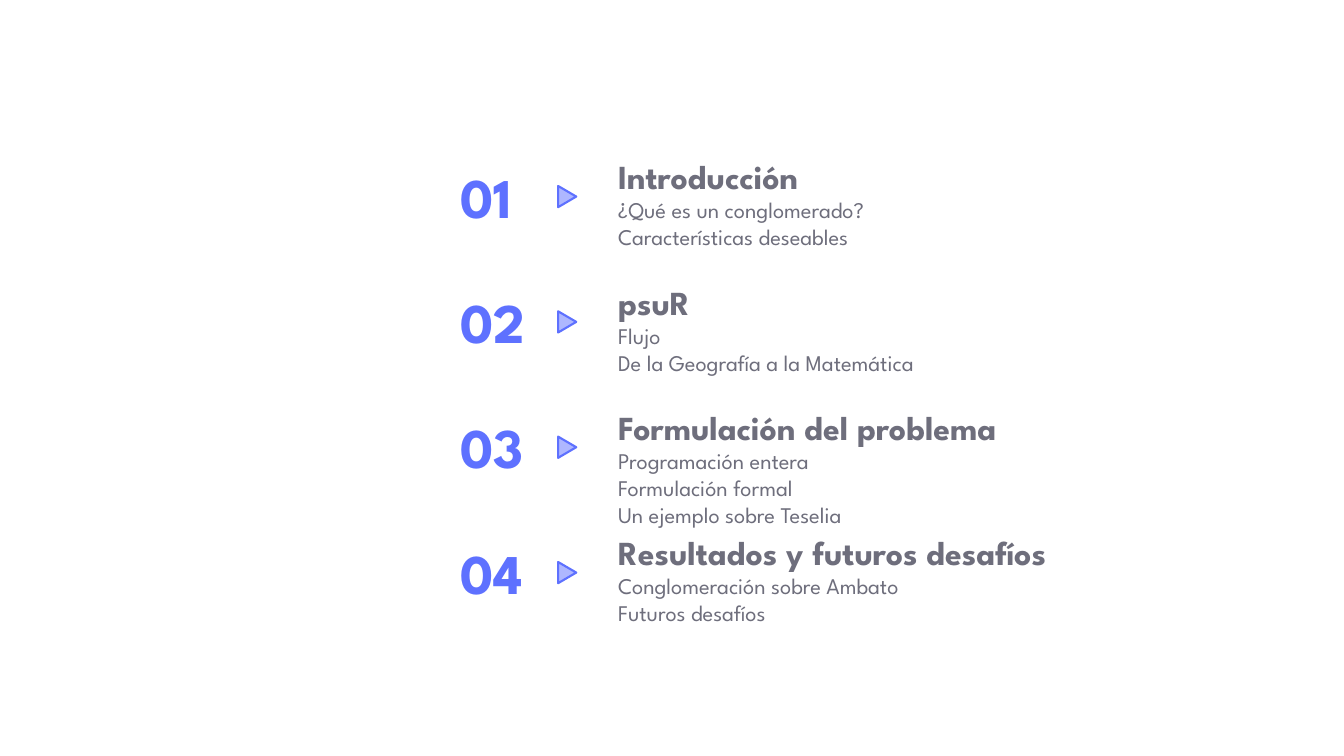
"""Build an agenda slide with four numbered sections."""
from lxml import etree
from pptx import Presentation
from pptx import util as u
from pptx.dml.color import RGBColor
from pptx.enum import shapes, text
from pptx.oxml.ns import qn

WIDTH, HEIGHT = 13.33, 7.5
FONT = "League Spartan"
COLORS = {"accent": "5E71FF", "body": "6E6E7C"}
FIRST_ROW, ROW_STEP = 20, 16.58
SECTIONS = [
    ("Introducción", ["¿Qué es un conglomerado?", "Características deseables"]),
    ("psuR", ["Flujo", "De la Geografía a la Matemática"]),
    ("Formulación del problema",
     ["Programación entera", "Formulación formal", "Un ejemplo sobre Teselia"]),
    ("Resultados y futuros desafíos",
     ["Conglomeración sobre Ambato", "Futuros desafíos"]),
]


def box(left, top, width, height):
    """Convert percentages of the slide's size to lengths."""
    return (u.Inches(left * WIDTH / 100), u.Inches(top * HEIGHT / 100),
            u.Inches(width * WIDTH / 100), u.Inches(height * HEIGHT / 100))


def style_font(font, size, color, bold):
    """Apply the slide's typeface with a size, colour and weight."""
    font.name, font.size, font.bold = FONT, u.Pt(size), bold
    font.color.rgb = RGBColor.from_string(COLORS[color])


def add_number(slide, number, top):
    """Add a section number."""
    shape = slide.shapes.add_textbox(*box(33.53, top + 0.8, 6.6, 10.27))
    frame = shape.text_frame
    frame.word_wrap = True
    frame.auto_size = text.MSO_AUTO_SIZE.SHAPE_TO_FIT_TEXT
    frame.text = f"{number:02}"
    style_font(frame.paragraphs[0].runs[0].font, 40, "accent", True)


def add_marker(slide, top):
    """Add a half-transparent triangle that points right."""
    shape = slide.shapes.add_shape(
        shapes.MSO_SHAPE.ISOSCELES_TRIANGLE, *box(41.41, top + 4.8, 1.58, 2.4))
    shape.rotation = 90
    shape.shadow.inherit = False
    color = RGBColor.from_string(COLORS["accent"])
    shape.fill.solid()
    shape.fill.fore_color.rgb = color
    fill_color = shape.fill._xPr.find(qn("a:solidFill"))[0]
    etree.SubElement(fill_color, qn("a:alpha"), val="50000")
    shape.line.color.rgb = color
    shape.line.width = u.Pt(1.5)


def fill_section(shape, heading, topics, top):
    """Place a section's heading and topics in a body placeholder."""
    shape.left, shape.top, shape.width, shape.height = box(
        45.24, top, 41.49, 6.75 + 3.56 * len(topics))
    frame = shape.text_frame
    frame.word_wrap = True
    frame.vertical_anchor = text.MSO_ANCHOR.TOP
    frame.auto_size = text.MSO_AUTO_SIZE.SHAPE_TO_FIT_TEXT
    frame.text = "\n".join([heading, *topics])
    for index, paragraph in enumerate(frame.paragraphs):
        paragraph.space_before = u.Pt(0)
        properties = paragraph._p.get_or_add_pPr()
        properties.set("marL", "0")
        properties.set("indent", "0")
        etree.SubElement(properties, qn("a:buNone"))
        is_heading = index == 0
        style_font(paragraph.runs[0].font, 24 if is_heading else 16, "body", is_heading)


def main():
    """Create and save the agenda."""
    presentation = Presentation()
    presentation.slide_width = u.Inches(WIDTH)
    presentation.slide_height = u.Inches(HEIGHT)
    layout = presentation.slide_layouts.get_by_name("Comparison")
    slide = presentation.slides.add_slide(layout)
    title, *bodies = slide.placeholders
    title.element.getparent().remove(title.element)
    for index, (body, (heading, topics)) in enumerate(zip(bodies, SECTIONS)):
        top = FIRST_ROW + index * ROW_STEP
        add_number(slide, index + 1, top)
        add_marker(slide, top)
        fill_section(body, heading, topics, top)
    presentation.save("out.pptx")


if __name__ == "__main__":
    main()
